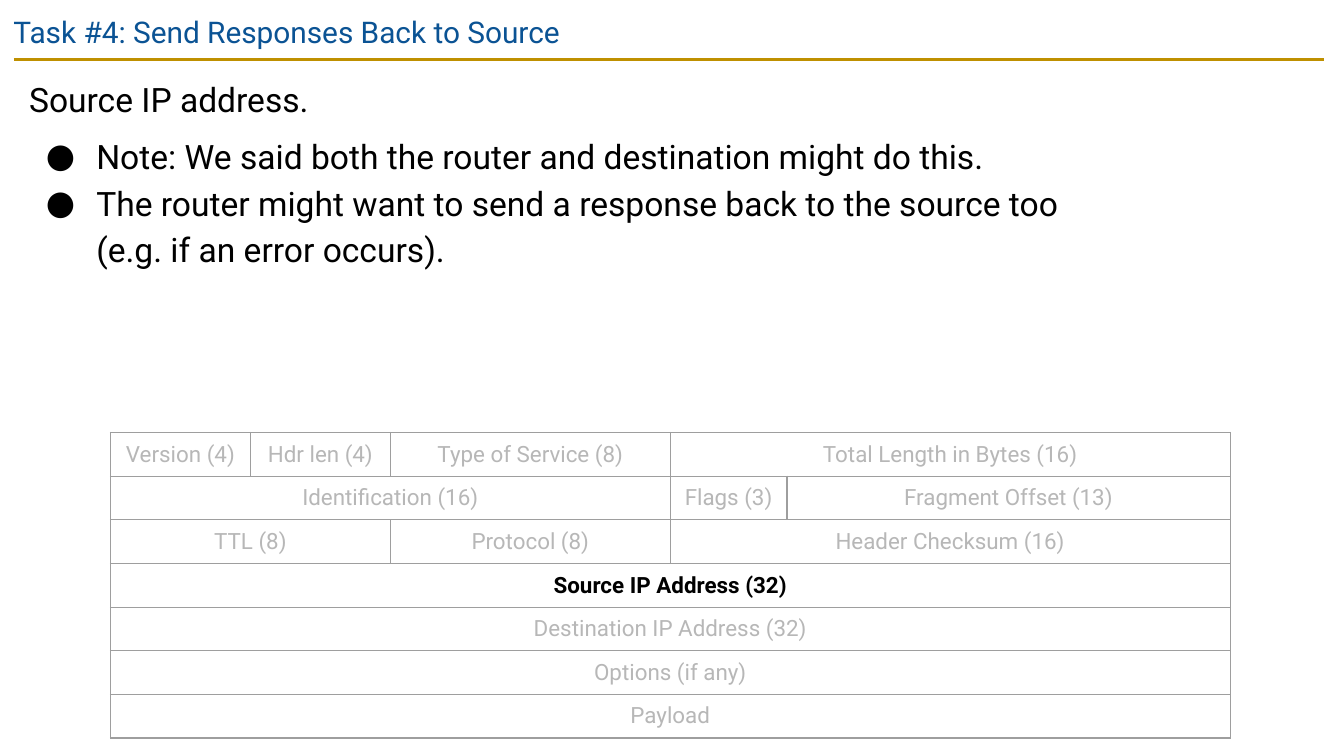
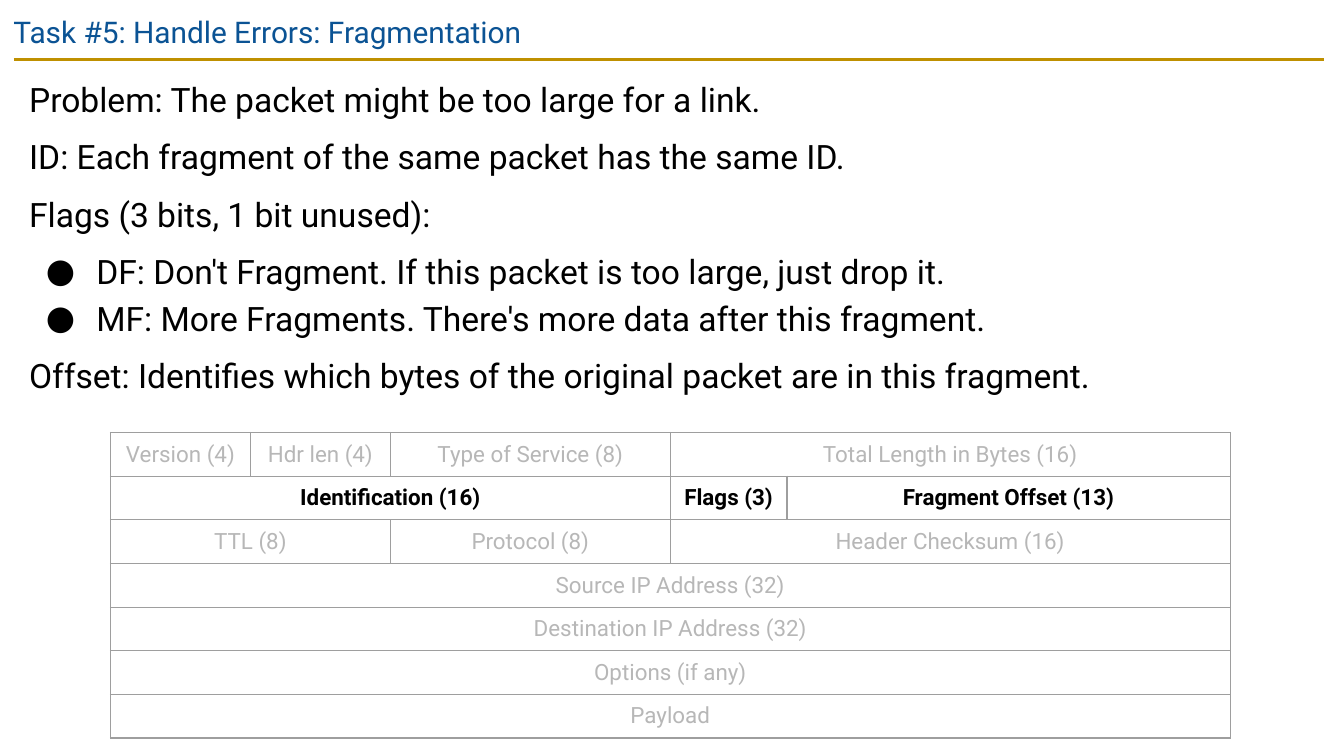
from copy import deepcopy
from dataclasses import dataclass

from lxml import etree
from pptx import Presentation
from pptx.dml.color import RGBColor
from pptx.enum.shapes import MSO_CONNECTOR
from pptx.enum.text import MSO_ANCHOR, MSO_AUTO_SIZE, PP_ALIGN
from pptx.oxml.ns import qn
from pptx.util import Pt

STRAIGHT = MSO_CONNECTOR.STRAIGHT
TOP, MIDDLE = MSO_ANCHOR.TOP, MSO_ANCHOR.MIDDLE
LEFT, CENTER = PP_ALIGN.LEFT, PP_ALIGN.CENTER
NO_AUTOFIT = MSO_AUTO_SIZE.NONE

FONT = "Roboto"
BLACK = "000000"
TITLE_BLUE = "0B5394"
RULE_GOLD = "BF9000"
MUTED = "B7B7B7"
BORDER = "9E9E9E"

TABLE_LEFT, TABLE_TOP = 59.2, 231.7
COLUMN_WIDTHS = [75, 75, 75, 75, 62.5, 87.5, 75, 75]
ROW_HEIGHT = 23.4
CELL_MARGIN = 2.16


@dataclass(frozen=True)
class Field:
    label: str
    columns: int


@dataclass(frozen=True)
class Line:
    text: str
    bullet: bool = False
    space_before: float = 6


@dataclass(frozen=True)
class Task:
    title: str
    lines: list[Line]
    body_height: float
    highlighted: set[str]


HEADER = [
    [Field("Version (4)", 1), Field("Hdr len (4)", 1),
     Field("Type of Service (8)", 2), Field("Total Length in Bytes (16)", 4)],
    [Field("Identification (16)", 4), Field("Flags (3)", 1), Field("Fragment Offset (13)", 3)],
    [Field("TTL (8)", 2), Field("Protocol (8)", 2), Field("Header Checksum (16)", 4)],
    [Field("Source IP Address (32)", 8)],
    [Field("Destination IP Address (32)", 8)],
    [Field("Options (if any)", 8)],
    [Field("Payload", 8)],
]

TASKS = [
    Task(
        "Task #4: Send Responses Back to Source",
        [
            Line("Source IP address.", space_before=0),
            Line("Note: We said both the router and destination might do this.", True),
            Line("The router might want to send a response back to the source too\n"
                 "(e.g. if an error occurs).", True, 0),
        ],
        124.6,
        {"Source IP Address (32)"},
    ),
    Task(
        "Task #5: Handle Errors: Fragmentation",
        [
            Line("Problem: The packet might be too large for a link.", space_before=0),
            Line("ID: Each fragment of the same packet has the same ID."),
            Line("Flags (3 bits, 1 bit unused):"),
            Line("DF: Don't Fragment. If this packet is too large, just drop it.", True),
            Line("MF: More Fragments. There's more data after this fragment.", True, 0),
            Line("Offset: Identifies which bytes of the original packet are in this fragment."),
        ],
        191.5,
        {"Identification (16)", "Flags (3)", "Fragment Offset (13)"},
    ),
]


def color(value: str) -> RGBColor:
    return RGBColor.from_string(value)


def format_runs(para, size: float, ink: str, bold: bool = False) -> None:
    for span in para.runs:
        span.font.name = FONT
        span.font.size = Pt(size)
        span.font.bold = bold
        span.font.color.rgb = color(ink)
    for line_break in para._p.findall(qn("a:br")):
        line_break.append(deepcopy(para.runs[0]._r.rPr))


def place(box, left: float, top: float, width: float, height: float) -> None:
    box.left, box.top, box.width, box.height = Pt(left), Pt(top), Pt(width), Pt(height)
    frame = box.text_frame
    frame.word_wrap = True
    frame.auto_size = NO_AUTOFIT
    frame.vertical_anchor = TOP
    frame.margin_left = frame.margin_right = Pt(7.2)
    frame.margin_top = frame.margin_bottom = Pt(7.2)


def set_bullet(para, bullet: bool) -> None:
    properties = para._p.get_or_add_pPr()
    properties.set("marL", str(Pt(36) if bullet else 0))
    properties.set("indent", str(Pt(-27) if bullet else 0))
    if not bullet:
        etree.SubElement(properties, qn("a:buNone"))
        return
    bullet_color = etree.SubElement(properties, qn("a:buClr"))
    etree.SubElement(bullet_color, qn("a:srgbClr"), val=BLACK)
    etree.SubElement(properties, qn("a:buFont"), typeface=FONT)
    etree.SubElement(properties, qn("a:buChar"), char="●")


def draw_rule(page) -> None:
    rule = page.shapes.add_connector(STRAIGHT, Pt(7.5), Pt(31.7), Pt(709.2), Pt(31.7))
    rule.line.color.rgb = color(RULE_GOLD)
    rule.line.width = Pt(1.5)
    etree.SubElement(rule._element.spPr, qn("a:effectLst"))


def write_title(page, text: str) -> None:
    title = page.shapes.title
    place(title, 0, 0, 671, 31)
    title.text_frame.text = text
    para = title.text_frame.paragraphs[0]
    para.alignment = LEFT
    format_runs(para, 16, TITLE_BLUE)


def write_body(page, lines: list[Line], height: float) -> None:
    body = page.placeholders[1]
    place(body, 8.4, 31.7, 701.3, height)
    frame = body.text_frame
    for index, line in enumerate(lines):
        para = frame.add_paragraph() if index else frame.paragraphs[0]
        para.text = line.text
        set_bullet(para, line.bullet)
        para.alignment = LEFT
        para.line_spacing = 1.15
        para.space_before = Pt(line.space_before)
        para.space_after = Pt(0)
        format_runs(para, 18, BLACK)


def style_cell(cell) -> None:
    properties = cell._tc.get_or_add_tcPr()
    for side in ("lnL", "lnR", "lnT", "lnB"):
        edge = etree.SubElement(properties, qn(f"a:{side}"), w=str(Pt(0.75)))
        fill = etree.SubElement(edge, qn("a:solidFill"))
        etree.SubElement(fill, qn("a:srgbClr"), val=BORDER)
    cell.fill.background()
    cell.vertical_anchor = MIDDLE
    cell.margin_left = cell.margin_right = Pt(CELL_MARGIN)
    cell.margin_top = cell.margin_bottom = Pt(CELL_MARGIN)


def draw_header_table(page, highlighted: set[str]) -> None:
    table = page.shapes.add_table(
        len(HEADER), len(COLUMN_WIDTHS), Pt(TABLE_LEFT), Pt(TABLE_TOP),
        Pt(sum(COLUMN_WIDTHS)), Pt(ROW_HEIGHT * len(HEADER))).table
    table.first_row = table.horz_banding = False
    for column, width in zip(table.columns, COLUMN_WIDTHS):
        column.width = Pt(width)
    for row in table.rows:
        row.height = Pt(ROW_HEIGHT)
    for cell in table.iter_cells():
        style_cell(cell)
    for row_index, fields in enumerate(HEADER):
        start = 0
        for field in fields:
            cell = table.cell(row_index, start)
            if field.columns > 1:
                cell.merge(table.cell(row_index, start + field.columns - 1))
            cell.text_frame.text = field.label
            para = cell.text_frame.paragraphs[0]
            para.alignment = CENTER
            active = field.label in highlighted
            format_runs(para, 12, BLACK if active else MUTED, active)
            start += field.columns


def main() -> None:
    deck = Presentation()
    deck.slide_width, deck.slide_height = Pt(720), Pt(405)
    for task in TASKS:
        page = deck.slides.add_slide(deck.slide_layouts[1])
        draw_rule(page)
        write_title(page, task.title)
        write_body(page, task.lines, task.body_height)
        draw_header_table(page, task.highlighted)
    deck.save("out.pptx")


if __name__ == "__main__":
    main()
